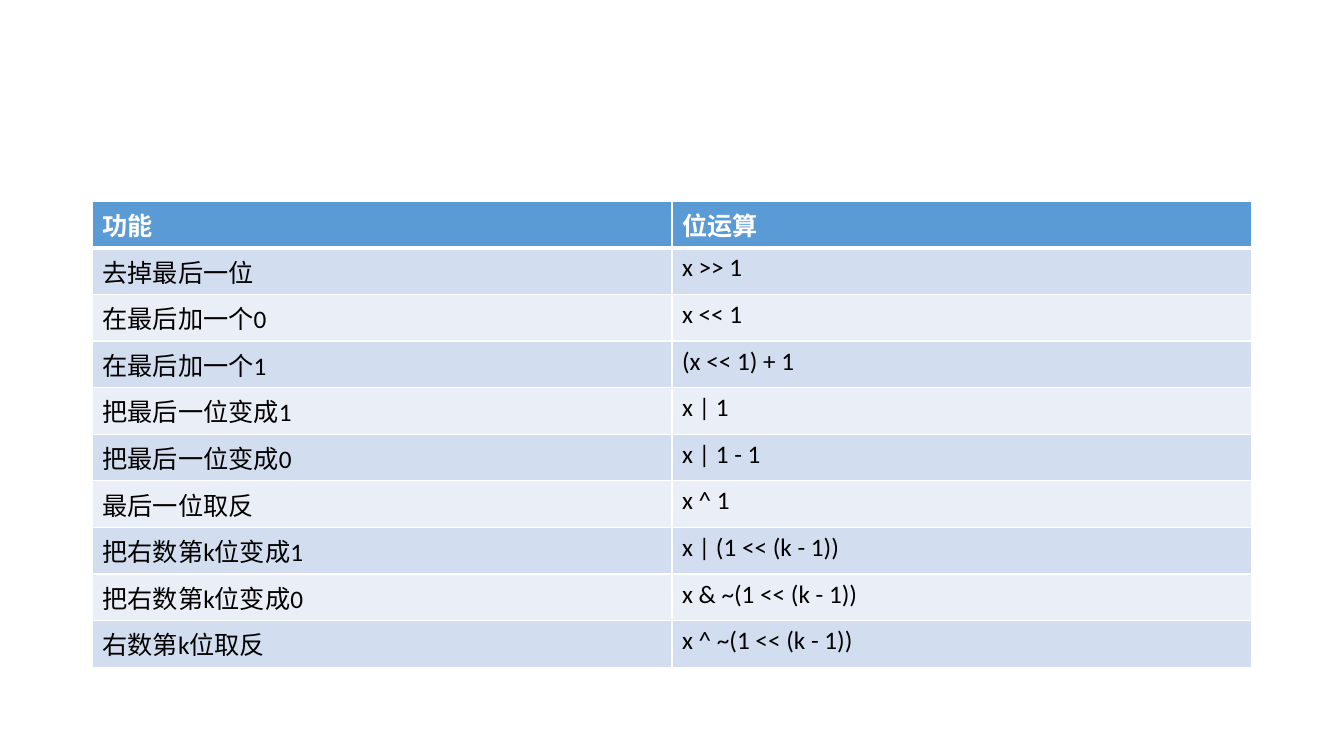
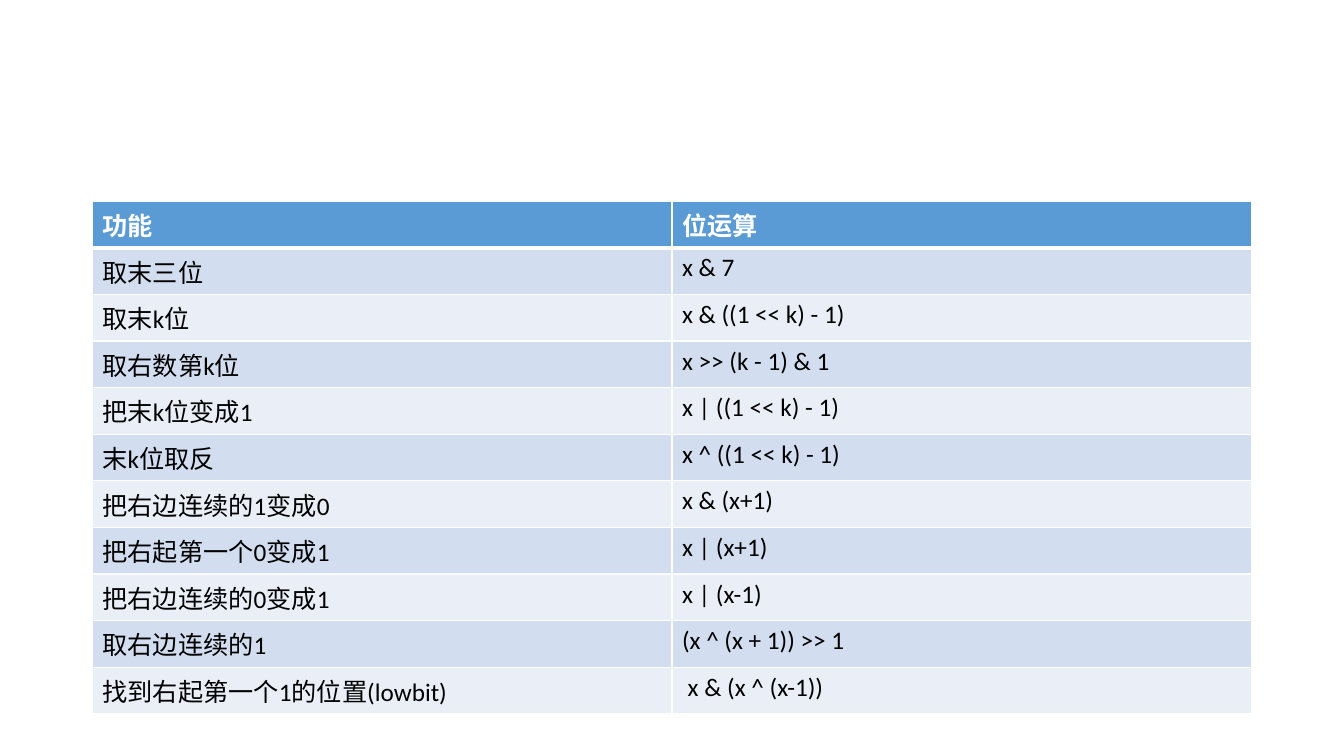
from dataclasses import dataclass

from lxml import etree
from pptx import Presentation
from pptx import util as u
from pptx.dml.color import RGBColor
from pptx.oxml.ns import qn

# Shared style
COLORS = {
    "header": "5B9BD5",
    "odd": "D2DEEF",
    "even": "EAEFF7",
    "white": "FFFFFF",
    "black": "000000",
}
FONT = "Calibri"
TEXT_SIZE = 18
SLIDE_WIDTH, SLIDE_HEIGHT = 960, 540
TABLE_LEFT, TABLE_TOP = 66, 143.75
COLUMN_WIDTH, ROW_HEIGHT = 414, 29.2
THIN, THICK = 1, 3
BLANK_LAYOUT = 6


@dataclass(frozen=True)
class Operation:
    purpose: str
    expression: str


HEADER = Operation("功能", "位运算")

# One list of operations for each slide
BASIC_OPERATIONS = [
    Operation("去掉最后一位", "x >> 1"),
    Operation("在最后加一个0", "x << 1"),
    Operation("在最后加一个1", "(x << 1) + 1"),
    Operation("把最后一位变成1", "x | 1"),
    Operation("把最后一位变成0", "x | 1 - 1"),
    Operation("最后一位取反", "x ^ 1"),
    Operation("把右数第k位变成1", "x | (1 << (k - 1))"),
    Operation("把右数第k位变成0", "x & ~(1 << (k - 1))"),
    Operation("右数第k位取反", "x ^ ~(1 << (k - 1))"),
]
RANGE_OPERATIONS = [
    Operation("取末三位", "x & 7"),
    Operation("取末k位", "x & ((1 << k) - 1)"),
    Operation("取右数第k位", "x >> (k - 1) & 1"),
    Operation("把末k位变成1", "x | ((1 << k) - 1)"),
    Operation("末k位取反", "x ^ ((1 << k) - 1)"),
    Operation("把右边连续的1变成0", "x & (x+1)"),
    Operation("把右起第一个0变成1", "x | (x+1)"),
    Operation("把右边连续的0变成1", "x | (x-1)"),
    Operation("取右边连续的1", "(x ^ (x + 1)) >> 1"),
    Operation("找到右起第一个1的位置(lowbit)", " x & (x ^ (x-1))"),
]


def write_text(frame, text: str, *, color: str, bold: bool = False) -> None:
    span = frame.paragraphs[0].add_run()
    span.text = text
    span.font.name = FONT
    span.font.size = u.Pt(TEXT_SIZE)
    span.font.bold = bold
    span.font.color.rgb = RGBColor.from_string(COLORS[color])


def set_borders(cell, *, top: float, bottom: float) -> None:
    properties = cell._tc.get_or_add_tcPr()
    widths = {"lnL": THIN, "lnR": THIN, "lnT": top, "lnB": bottom}
    for side, width in widths.items():
        line = etree.SubElement(properties, qn(f"a:{side}"), w=str(u.Pt(width)))
        fill = etree.SubElement(line, qn("a:solidFill"))
        etree.SubElement(fill, qn("a:srgbClr"), val=COLORS["white"])


def add_operation_table(page, operations: list[Operation]) -> None:
    rows = [HEADER, *operations]
    table = page.shapes.add_table(
        len(rows), 2, u.Pt(TABLE_LEFT), u.Pt(TABLE_TOP),
        u.Pt(2 * COLUMN_WIDTH), u.Pt(ROW_HEIGHT * len(rows)),
    ).table
    table.horz_banding = False
    for column in table.columns:
        column.width = u.Pt(COLUMN_WIDTH)

    for index, operation in enumerate(rows):
        table.rows[index].height = u.Pt(ROW_HEIGHT)
        is_header = index == 0
        band = "header" if is_header else "odd" if index % 2 else "even"
        for column, text in enumerate((operation.purpose, operation.expression)):
            cell = table.cell(index, column)
            # The thick rule lies between the header and the first row
            set_borders(
                cell,
                top=THICK if index == 1 else THIN,
                bottom=THICK if is_header else THIN,
            )
            cell.fill.solid()
            cell.fill.fore_color.rgb = RGBColor.from_string(COLORS[band])
            write_text(
                cell.text_frame, text,
                color="white" if is_header else "black", bold=is_header,
            )


def main() -> None:
    deck = Presentation()
    deck.slide_width = u.Pt(SLIDE_WIDTH)
    deck.slide_height = u.Pt(SLIDE_HEIGHT)
    for operations in (BASIC_OPERATIONS, RANGE_OPERATIONS):
        page = deck.slides.add_slide(deck.slide_layouts[BLANK_LAYOUT])
        add_operation_table(page, operations)
    deck.save("out.pptx")


if __name__ == "__main__":
    main()
